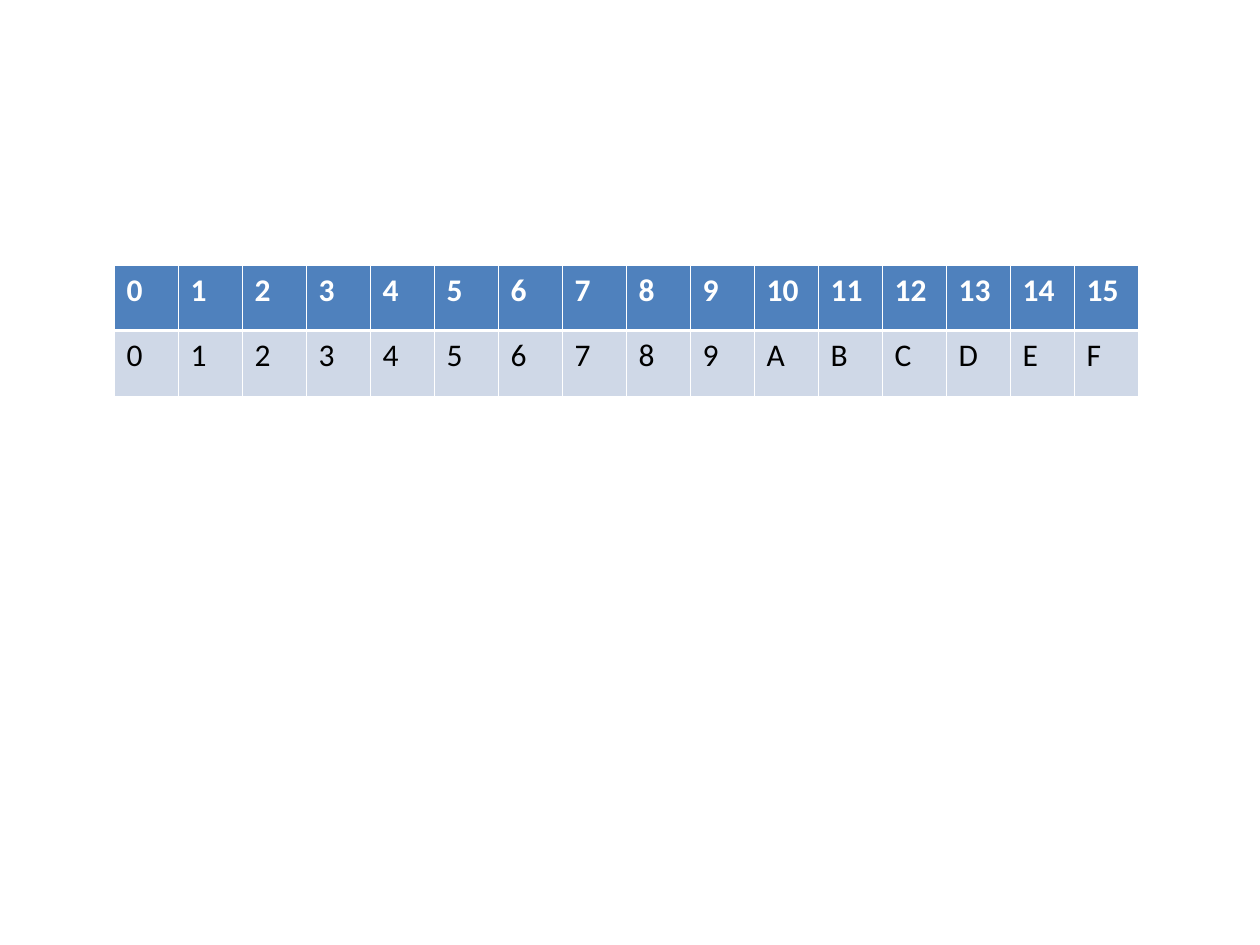
from lxml.etree import SubElement
from pptx import Presentation
from pptx.dml.color import RGBColor
from pptx.oxml.ns import qn
from pptx.util import Pt

# Content: decimal numbers above their hexadecimal digits
ROWS = [
    [str(num) for num in range(16)],
    list("0123456789ABCDEF"),
]
STYLES = [
    {"fill": "4F81BD", "color": "FFFFFF", "bold": True, "top": 0.45, "base": 1.47},
    {"fill": "CFD8E7", "color": "000000", "bold": False, "top": 1.47, "base": 0.45},
]
LEFT, TOP, WIDE, HIGH = 65.2, 151.4, 36.58, 37.5


def paint(code):
    return RGBColor.from_string(code)


def write(frame, text, color="000000", bold=False, size=18, font="Calibri"):
    run = frame.paragraphs[0].add_run()
    run.text = text
    run.font.name = font
    run.font.size = Pt(size)
    run.font.bold = bold
    run.font.color.rgb = paint(color)


def edge(cell, side, width, color="FFFFFF"):
    props = cell._tc.get_or_add_tcPr()
    line = SubElement(props, qn("a:ln" + side), w=str(Pt(width)))
    solid = SubElement(line, qn("a:solidFill"))
    SubElement(solid, qn("a:srgbClr"), val=color)


def main():
    deck = Presentation()
    deck.slide_width, deck.slide_height = Pt(720), Pt(540)
    slide = deck.slides.add_slide(deck.slide_layouts[6])

    # Table grid
    count = len(ROWS[0])
    table = slide.shapes.add_table(
        len(ROWS), count, Pt(LEFT), Pt(TOP), Pt(WIDE * count), Pt(HIGH * len(ROWS))
    ).table
    for col in table.columns:
        col.width = Pt(WIDE)
    for row in table.rows:
        row.height = Pt(HIGH)

    # Cells: borders come before the fill
    for r, (texts, style) in enumerate(zip(ROWS, STYLES)):
        widths = {"L": 0.45, "R": 0.45, "T": style["top"], "B": style["base"]}
        for c, text in enumerate(texts):
            cell = table.cell(r, c)
            for side, width in widths.items():
                edge(cell, side, width)
            cell.fill.solid()
            cell.fill.fore_color.rgb = paint(style["fill"])
            write(cell.text_frame, text, color=style["color"], bold=style["bold"])

    deck.save("out.pptx")


if __name__ == "__main__":
    main()
